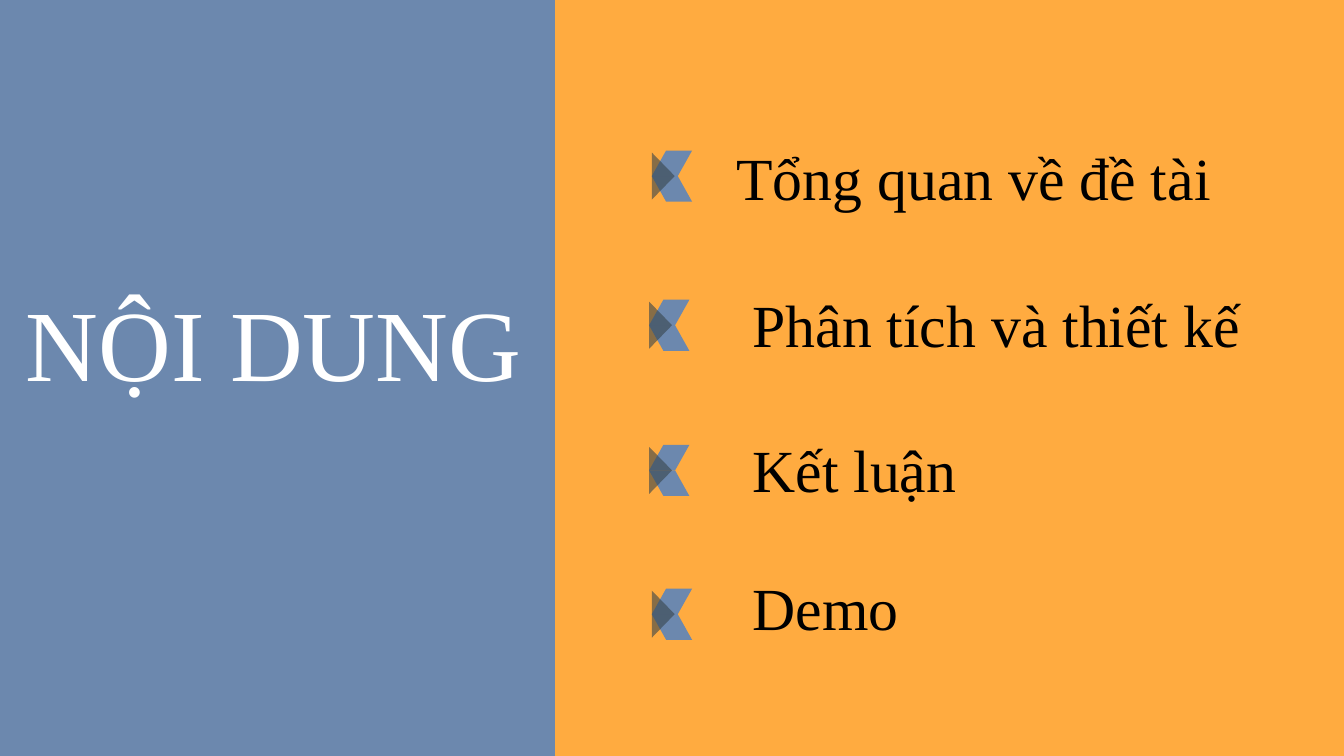
from dataclasses import dataclass

from lxml.etree import SubElement
from pptx import Presentation
from pptx.dml.color import RGBColor
from pptx.enum.shapes import MSO_SHAPE as Preset
from pptx.enum.text import MSO_ANCHOR as Anchor, MSO_AUTO_SIZE as AutoSize, PP_ALIGN as Align
from pptx.oxml.ns import qn
from pptx.util import Inches, Pt


@dataclass(frozen=True)
class Theme:
    background: str = "FFAB40"
    panel: str = "5E85B9"
    panel_alpha: int = 91
    shade: str = "38444A"
    shade_alpha: int = 60
    title: str = "FFFFFF"
    body: str = "000000"
    font: str = "Times New Roman"
    title_size: int = 54
    body_size: int = 32


THEME = Theme()
SLIDE_WIDTH = 10
SLIDE_HEIGHT = SLIDE_WIDTH * 9 / 16
TOPICS = [
    ("Tổng quan về đề tài", 4.85, 1.12, 5.38, 1.06, 4.62),
    ("Phân tích và thiết kế", 4.83, 2.23, 5.5, 2.15, 4.62),
    ("Kết luận", 4.83, 3.31, 5.5, 3.23, 3.85),
    ("Demo", 4.85, 4.38, 5.5, 4.26, 3.85),
]


def place(shape, box):
    shape.left, shape.top, shape.width, shape.height = map(Inches, box)


def write(shape, text, *, size, color, align=Align.LEFT, anchor=Anchor.MIDDLE, spacing=1.0):
    frame = shape.text_frame
    frame.word_wrap = True
    frame.auto_size = AutoSize.NONE
    frame.vertical_anchor = anchor
    frame.margin_left = frame.margin_right = Inches(0.1)
    frame.margin_top = frame.margin_bottom = Inches(0.1)
    paragraph = frame.paragraphs[0]
    paragraph.alignment = align
    paragraph.line_spacing = spacing
    run = paragraph.add_run()
    run.text = text
    run.font.name = THEME.font
    run.font.size = Pt(size)
    run.font.color.rgb = RGBColor.from_string(color)


def add_tinted(shapes, preset, box, color, alpha, adjust=None):
    tinted = shapes.add_shape(preset, *map(Inches, box))
    tinted.shadow.inherit = False
    tinted.line.fill.background()
    tinted.fill.solid()
    tinted.fill.fore_color.rgb = RGBColor.from_string(color)
    clr = tinted.element.spPr.find(f"{qn('a:solidFill')}/{qn('a:srgbClr')}")
    SubElement(clr, qn("a:alpha"), val=str(alpha * 1000))
    if adjust is not None:
        tinted.adjustments[0] = adjust
    return tinted


def add_title_panel(slide, box):
    left, top, width, height = box
    panel = add_tinted(slide.shapes, Preset.RECTANGLE, box, THEME.panel, THEME.panel_alpha)
    title = slide.shapes.title
    title.element.addprevious(panel.element)
    place(title, (left, top + 2, width - 0.06, 1.19))
    write(title, "NỘI DUNG", size=THEME.title_size, color=THEME.title,
          align=Align.CENTER, spacing=0.9)


def add_marker(slide, box):
    left, top, width, height = box
    half = height / 2
    marker = slide.shapes.add_group_shape().shapes
    for wing_top, flipped in ((top, False), (top + half, True)):
        wing = add_tinted(marker, Preset.PARALLELOGRAM, (left, wing_top, width, half),
                          THEME.panel, THEME.panel_alpha, 0.56)
        if flipped:
            wing.element.spPr.find(qn("a:xfrm")).set("flipH", "1")
    base, depth = 0.35, 0.17
    arrow_box = (left + (depth - base) / 2, top + half - depth / 2, base, depth)
    arrow = add_tinted(marker, Preset.ISOSCELES_TRIANGLE, arrow_box,
                       THEME.shade, THEME.shade_alpha, 0.5)
    arrow.rotation = 90


def add_topic(slide, text, marker_box, text_box):
    add_marker(slide, marker_box)
    topic = slide.shapes.add_textbox(*map(Inches, text_box))
    write(topic, text, size=THEME.body_size, color=THEME.body)


def build_contents(prs):
    slide = prs.slides.add_slide(prs.slide_layouts[5])
    slide.background.fill.solid()
    slide.background.fill.fore_color.rgb = RGBColor.from_string(THEME.background)
    add_title_panel(slide, (0, 0, 4.13, SLIDE_HEIGHT))
    for text, marker_left, marker_top, left, top, width in TOPICS:
        add_topic(slide, text, (marker_left, marker_top, 0.3, 0.38), (left, top, width, 0.51))


def main():
    prs = Presentation()
    prs.slide_width, prs.slide_height = Inches(SLIDE_WIDTH), Inches(SLIDE_HEIGHT)
    build_contents(prs)
    prs.save("out.pptx")


if __name__ == "__main__":
    main()
